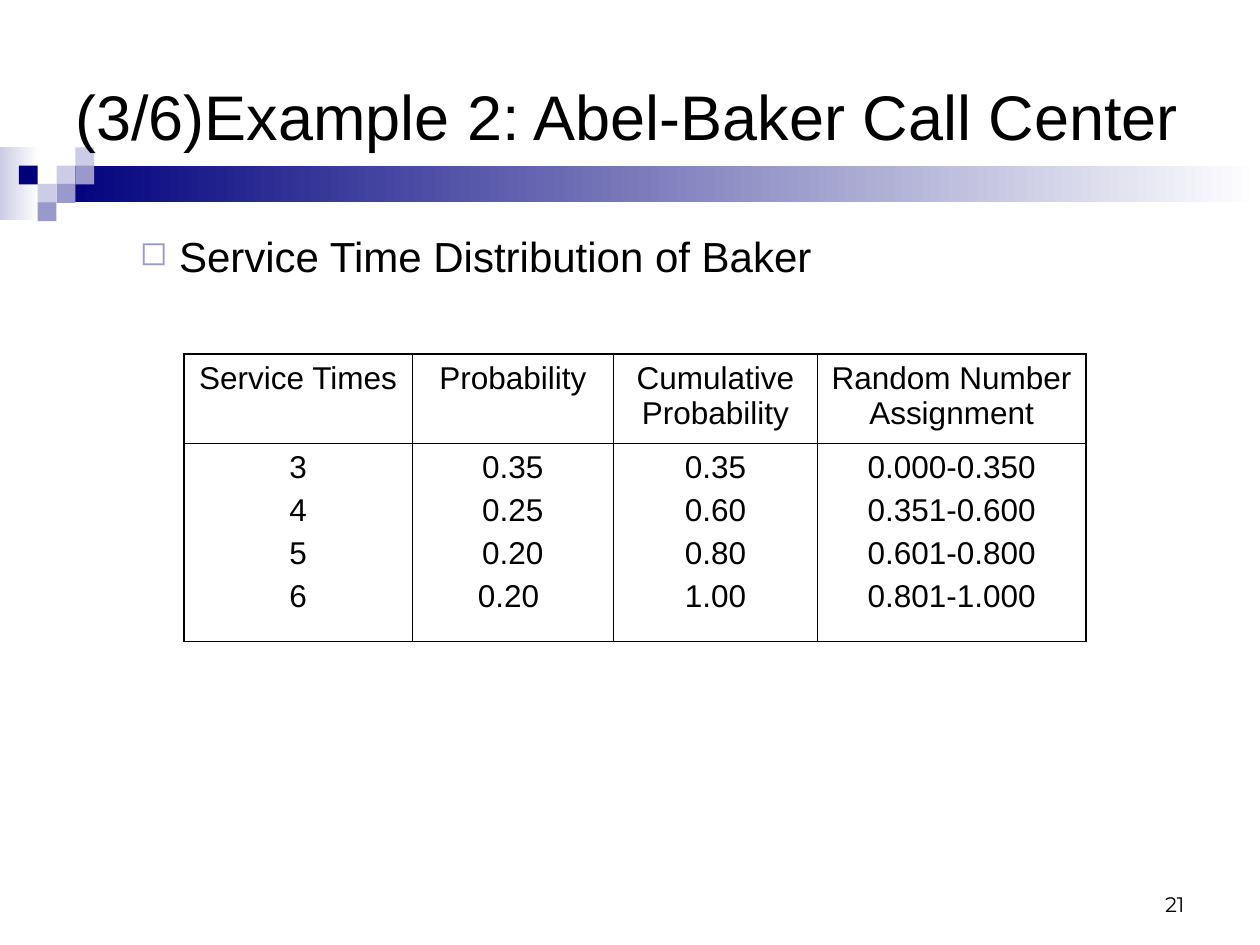
from pptx import Presentation
from pptx.dml.color import RGBColor
from pptx.enum.shapes import MSO_SHAPE as Shape
from pptx.enum.text import MSO_ANCHOR as Anchor, MSO_AUTO_SIZE as Fit, PP_ALIGN as Align
from pptx.oxml import parse_xml
from pptx.oxml.ns import nsdecls
from pptx.util import Cm, Pt

INK, NAVY, LILAC, PALE, WHITE = "000000", "00007D", "9999CC", "CCCCE6", "FFFFFF"
FRAME = dict(word_wrap=True, auto_size=Fit.NONE, margin_left=Cm(0.25),
             margin_right=Cm(0.25), margin_top=Cm(0.13), margin_bottom=Cm(0.13))
HEADS = ["Service Times", "Probability", "Cumulative Probability",
         "Random Number Assignment"]
DATA = [["3", "4", "5", "6"],
        ["0.35", "0.25", "0.20", "0.20 "],
        ["0.35", "0.60", "0.80", "1.00"],
        ["0.000-0.350", "0.351-0.600", "0.601-0.800", "0.801-1.000"]]
WIDTHS = [4.6, 4.06, 4.11, 5.41]
HEIGHTS = [1.8, 3.99]


def rgb(code):
    return RGBColor.from_string(code)


def setall(obj, values):
    for name, value in values.items():
        setattr(obj, name, value)


def place(shape, box):
    names = ("left", "top", "width", "height")
    setall(shape, dict(zip(names, map(Cm, box))))


def write(frame, lines, size, align=Align.LEFT, font="Arial", gap=0):
    frame.text = "\n".join(lines)
    for i, para in enumerate(frame.paragraphs):
        setall(para, dict(alignment=align, space_before=Pt(gap if i else 0)))
        setall(para.font, dict(size=Pt(size), name=font))
        para.font.color.rgb = rgb(INK)


def block(slide, box, *colors):
    """Draw a borderless rectangle, fading across when given two colours."""
    shape = slide.shapes.add_shape(Shape.RECTANGLE, *map(Cm, box))
    shape.shadow.inherit = False
    shape.line.fill.background()
    fill = shape.fill
    if len(colors) == 1:
        fill.solid()
        fill.fore_color.rgb = rgb(colors[0])
        return
    fill.gradient()
    fill.gradient_angle = 0
    for stop, color in zip(fill.gradient_stops, colors):
        stop.color.rgb = rgb(color)


def band(slide, box):
    """Draw the fading bar with its mosaic of small squares."""
    left, top, width, height = box
    side, pitch = 0.38, 0.37
    start = left + 3 * side
    block(slide, (left, top, 0.8, height), PALE, WHITE)
    block(slide, (start, top + pitch, left + width - start, 2 * pitch), NAVY, WHITE)
    tiles = [(3, 1, PALE), (4, 0, PALE), (4, 1, LILAC), (2, 2, PALE),
             (1, 1, NAVY), (3, 2, LILAC), (2, 3, LILAC)]
    for col, row, color in tiles:
        block(slide, (left + col * side, top + row * pitch, side, side), color)


def heading(slide, box):
    title = slide.shapes.title
    place(title, box)
    setall(title.text_frame, FRAME | dict(vertical_anchor=Anchor.MIDDLE))
    write(title.text_frame, ["(3/6)Example 2: Abel-Baker Call Center"], 36)
    tree = title.element.getparent()
    tree.append(title.element)  # in front of the band


def body(slide, box):
    frame = slide.shapes.add_textbox(*map(Cm, box)).text_frame
    setall(frame, FRAME)
    frame.text = "Service Time Distribution of Baker"
    props = frame.paragraphs[0]._p.get_or_add_pPr()
    props.set("marL", str(Cm(2.06)))
    props.set("indent", str(Cm(-0.79)))
    for xml in (f'<a:buClr {nsdecls("a")}><a:srgbClr val="{LILAC}"/></a:buClr>',
                f'<a:buSzPct {nsdecls("a")} val="80000"/>',
                f'<a:buChar {nsdecls("a")} char="◻"/>'):
        props.append(parse_xml(xml))
    para = frame.paragraphs[0]
    setall(para.font, dict(size=Pt(24), name="Arial"))
    para.font.color.rgb = rgb(INK)


def edge(cell, row, col):
    """Rule a cell: heavier on the outside of the table."""
    outer = dict(L=col == 0, R=col == len(WIDTHS) - 1,
                 T=row == 0, B=row == len(HEIGHTS) - 1)
    props = cell._tc.get_or_add_tcPr()
    for i, (key, heavy) in enumerate(outer.items()):
        props.insert(i, parse_xml(
            f'<a:ln{key} {nsdecls("a")} w="{Pt(1.08 if heavy else 0.45)}">'
            f'<a:solidFill><a:srgbClr val="{INK}"/></a:solidFill></a:ln{key}>'))


def grid(slide, left, top):
    size = map(Cm, (left, top, sum(WIDTHS), sum(HEIGHTS)))
    table = slide.shapes.add_table(len(HEIGHTS), len(WIDTHS), *size).table
    setall(table, dict(first_row=False, horz_banding=False))
    for row, height in zip(table.rows, HEIGHTS):
        row.height = Cm(height)
    for c, (head, values) in enumerate(zip(HEADS, DATA)):
        table.columns[c].width = Cm(WIDTHS[c])
        for r, lines in enumerate(([head], values)):
            cell = table.cell(r, c)
            setall(cell, {k: v for k, v in FRAME.items() if k.startswith("margin")})
            write(cell.text_frame, lines, 18, Align.CENTER, gap=4.5)
            cell.fill.background()
            edge(cell, r, c)


def number(slide, box):
    frame = slide.shapes.add_textbox(*map(Cm, box)).text_frame
    setall(frame, FRAME | dict(vertical_anchor=Anchor.BOTTOM))
    write(frame, ["21"], 12, Align.RIGHT, "Montserrat")


def main():
    deck = Presentation()
    setall(deck, dict(slide_width=Cm(25.4), slide_height=Cm(19.05)))
    slide = deck.slides.add_slide(deck.slide_layouts[5])
    band(slide, (0, 2.97, 25.4, 1.47))
    heading(slide, (1.27, 1.27, 22.86, 2.11))
    body(slide, (1.3, 4.52, 23.19, 12.5))
    grid(slide, 3.71, 7.14)
    number(slide, (18.21, 17.35, 5.92, 1.27))
    deck.save("out.pptx")


if __name__ == "__main__":
    main()
